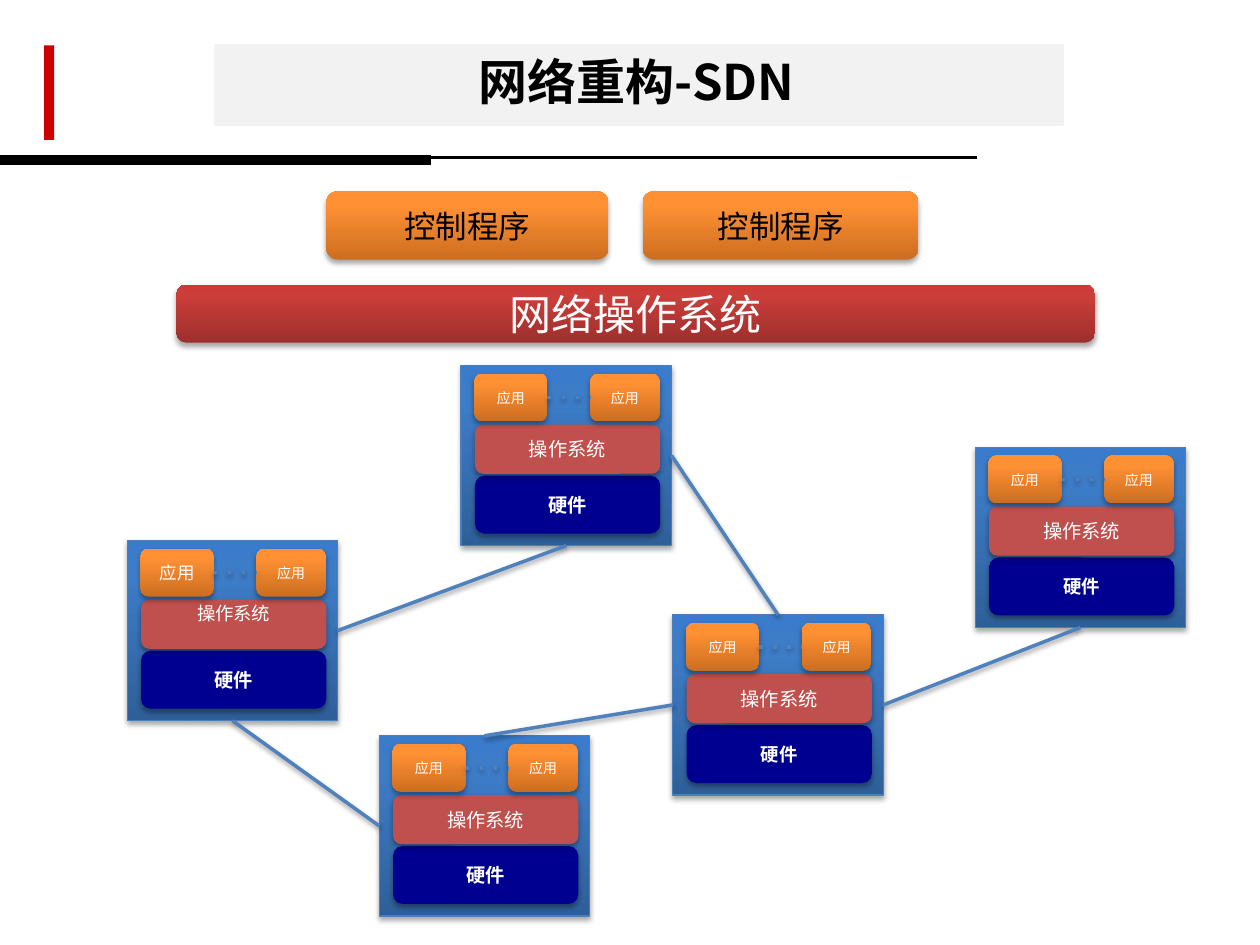
"""Build the SDN network restructuring slide."""
from lxml import etree
from pptx import Presentation
from pptx import util as u
from pptx.dml.color import RGBColor
from pptx.enum import shapes, text
from pptx.oxml import parse_xml
from pptx.oxml.ns import nsdecls, qn

THEME = {
    "orange": ("CC6E20", "FF9034", "FF9136"),
    "blue": ("2F5F99", "3D7CC7", "3A7CCB"),
    "red": ("9C2F2D", "CB3E3A", "CE3B37"),
    "navy": "000090", "brick": "C0504D", "link": "4F81BD", "edge": "4B7EBC",
    "black": "000000", "white": "FFFFFF", "accent": "CC0000", "band": "F2F2F2",
    "title_size": 28, "system_size": 24, "program_size": 18, "app_size": 8,
    "cjk": "Noto Sans CJK SC", "latin": "Calibri",
}
CELL = 0.1
COLUMNS, ROWS = 100, 75

TITLE = "网络重构-SDN"
NETWORK_SYSTEM = "网络操作系统"
PROGRAMS = [("控制程序", 25.9, 22.4), ("控制程序", 51, 21.9)]
APP, SYSTEM, HARDWARE = "应用", "操作系统", "硬件"

NODES = {
    "west": {"at": (10.1, 42.9), "app": 10, "system": (10.5, "Arial"), "hardware": 11, "raised": True},
    "north": {"at": (36.6, 29), "system": (11, "Arial"), "hardware": 11},
    "east": {"at": (77.4, 35.5), "system": (11, "Times New Roman"), "hardware": 10.5},
    "south": {"at": (30.1, 58.4), "system": (11, "Times New Roman"), "hardware": 11},
    "centre": {"at": (53.4, 48.8), "system": (11, "Times New Roman"), "hardware": 10.5},
}
NODE_SIZE = (16.7, 14.3)
TOP, LEFT, BOTTOM, RIGHT = range(4)
LINKS = [
    ("west", RIGHT, "north", BOTTOM),
    ("north", RIGHT, "centre", TOP),
    ("south", TOP, "centre", LEFT),
    ("west", BOTTOM, "south", LEFT),
    ("centre", RIGHT, "east", BOTTOM),
]
RECT = shapes.MSO_SHAPE.RECTANGLE
ROUND = shapes.MSO_SHAPE.ROUNDED_RECTANGLE


def grid(*cells):
    return [u.Inches(round(cell * CELL, 3)) for cell in cells]


def add_shadow(properties, alpha, distance):
    properties.append(parse_xml(
        f'<a:effectLst {nsdecls("a")}><a:outerShdw blurRad="{u.Pt(3.1)}" dist="{u.Pt(distance)}" '
        f'dir="5400000" rotWithShape="0"><a:srgbClr val="{THEME["black"]}">'
        f'<a:alpha val="{alpha * 1000}"/></a:srgbClr></a:outerShdw></a:effectLst>'))


def write(box, words, size, color="white", font="latin", bold=False, anchor="MIDDLE", margin=None):
    frame = box.text_frame
    frame.word_wrap = True
    frame.vertical_anchor = text.MSO_ANCHOR[anchor]
    if margin is not None:
        frame.margin_top = frame.margin_bottom = u.Inches(margin)
    paragraph = frame.paragraphs[0]
    paragraph.alignment = text.PP_ALIGN.CENTER
    run = paragraph.add_run()
    run.text = words
    run.font.size, run.font.bold = u.Pt(size), bold
    run.font.name = THEME.get(font, font)
    run.font.color.rgb = RGBColor.from_string(THEME[color])
    east_asian = etree.SubElement(run.font._element, qn("a:ea"))
    east_asian.set("typeface", THEME["cjk"])


def block(slide, kind, at, fill, edge=None, width=0.75, shadow=True):
    shape = slide.shapes.add_shape(kind, *grid(*at))
    colors = THEME[fill]
    if isinstance(colors, tuple):
        stops = "".join(f'<a:gs pos="{place * 1000}"><a:srgbClr val="{color}"/></a:gs>'
                        for place, color in zip((0, 80, 100), colors))
        shape._element.spPr.insert(2, parse_xml(
            f'<a:gradFill {nsdecls("a")} rotWithShape="1"><a:gsLst>{stops}</a:gsLst>'
            '<a:lin ang="16200000" scaled="0"/></a:gradFill>'))
    else:
        shape.fill.solid()
        shape.fill.fore_color.rgb = RGBColor.from_string(colors)
    if edge:
        shape.line.color.rgb = RGBColor.from_string(THEME[edge])
        shape.line.width = u.Pt(width)
    else:
        shape.line.fill.background()
    if shadow:
        add_shadow(shape._element.spPr, 35, 1.8)
    else:
        shape.shadow.inherit = False
    return shape


def rule(slide, color, width, ends=(0, 0, 0, 0), joins=None, dotted=False):
    line = slide.shapes.add_connector(shapes.MSO_CONNECTOR.STRAIGHT, *grid(*ends))
    line.line.color.rgb = RGBColor.from_string(THEME[color])
    line.line.width = u.Pt(width)
    properties = line._element.spPr
    if dotted:
        etree.SubElement(properties.find(qn("a:ln")), qn("a:prstDash")).set("val", "dot")
    if joins:
        start, start_side, end, end_side = joins
        line.begin_connect(start, start_side)
        line.end_connect(end, end_side)
        add_shadow(properties, 38, 1.6)
    else:
        etree.SubElement(properties, qn("a:effectLst"))


def add_node(slide, node):
    x, y = node["at"]
    body = block(slide, RECT, (x, y, *NODE_SIZE), "blue", edge="edge")
    hardware = block(slide, ROUND, (x + 1.1, y + 8.75, 14.7, 4.6), "navy")
    write(hardware, HARDWARE, node["hardware"], bold=True)
    system = block(slide, ROUND, (x + 1.1, y + 4.7, 14.7, 3.9), "brick")
    size, font = node["system"]
    placing = {"anchor": "TOP", "margin": 0} if node.get("raised") else {}
    write(system, SYSTEM, size, font=font, **placing)
    first = block(slide, ROUND, (x + 1.05, y + 0.65, 5.8, 3.8), "orange")
    last = block(slide, ROUND, (x + 10.25, y + 0.65, 5.5, 3.8), "orange")
    write(first, APP, node.get("app", THEME["app_size"]))
    write(last, APP, THEME["app_size"])
    rule(slide, "link", 2, joins=(first, RIGHT, last, LEFT), dotted=True)
    return body


def main():
    deck = Presentation()
    deck.slide_width, deck.slide_height = grid(COLUMNS, ROWS)
    slide = deck.slides.add_slide(deck.slide_layouts[6])

    rule(slide, "black", 1.5, (77.5, 12.5, 0, 12.5))
    rule(slide, "black", 6, (0, 12.7, 34.2, 12.7))
    block(slide, RECT, (3.5, 3.6, 0.8, 7.5), "accent", shadow=False)

    bodies = {name: add_node(slide, node) for name, node in NODES.items()}
    for start, start_side, end, end_side in LINKS:
        rule(slide, "link", 2, joins=(bodies[start], start_side, bodies[end], end_side))

    network = block(slide, ROUND, (14, 22.6, 72.9, 4.6), "red")
    write(network, NETWORK_SYSTEM, THEME["system_size"], font="cjk")
    for words, x, width in PROGRAMS:
        program = block(slide, ROUND, (x, 15.2, width, 5.4), "orange")
        write(program, words, THEME["program_size"], color="black", font="cjk")

    block(slide, RECT, (17.1, 3.6, 67.2, 6.3), "band", edge="band", width=2, shadow=False)
    title = slide.shapes.add_textbox(*grid(18.2, 3.6, 64.6, 5.7))
    write(title, TITLE, THEME["title_size"], color="black", font="cjk", bold=True, anchor="TOP")
    title.text_frame.auto_size = text.MSO_AUTO_SIZE.SHAPE_TO_FIT_TEXT
    deck.save("out.pptx")


if __name__ == "__main__":
    main()
